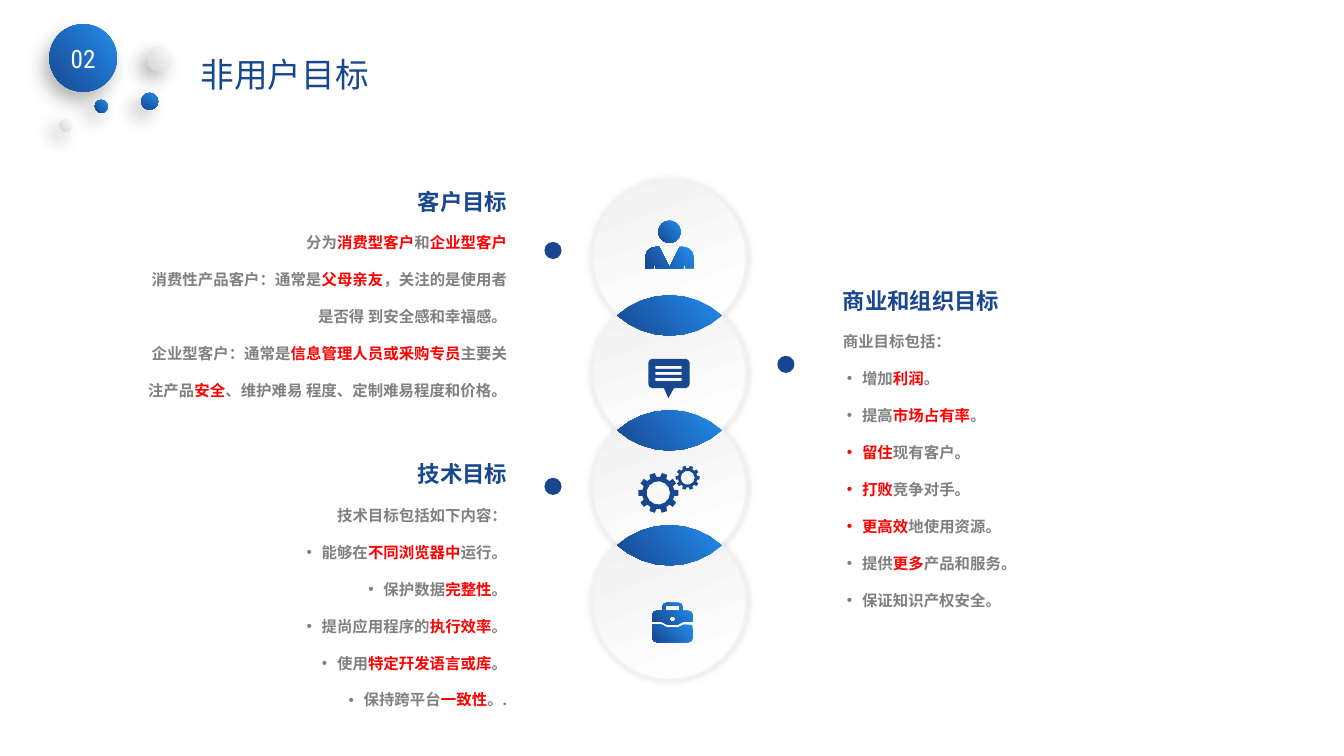
import math

import pptx
import pptx.dml.color
import pptx.enum.shapes
import pptx.enum.text
import pptx.util
from lxml import etree
from pptx.oxml.ns import qn

Inches, Pt = pptx.util.Inches, pptx.util.Pt
ALIGN, ANCHOR = pptx.enum.text.PP_ALIGN, pptx.enum.text.MSO_ANCHOR


class Theme:
    navy, white, grey, red = "18478F", "FFFFFF", "808080", "FF0000"
    pale = "F2F2F2"
    blue_gradient = ("238DED", "18478F", 140)
    dot_gradient = ("238DED", "18478F", 120)
    silver_gradient = ("FFFFFF", "D4D2D3", 140)
    disc_gradient = ("FFFFFF", "F2F2F2", 250)
    badge_shadow = (30, 14, 8, 120)
    ball_shadow = (30, 13, 8, 135)
    disc_shadow = (11, 5, 0, 0)
    font, number_font = "Open Sans", "Roboto Condensed"
    title, number, heading, body = 24, 18, 16, 11


def rgb(value):
    return pptx.dml.color.RGBColor.from_string(value)


def write(paragraph, text, size=Theme.body, color=Theme.grey, font=Theme.font,
          bold=False, align=ALIGN.LEFT, spacing=1.0, bullet=False):
    """Fill a paragraph; parts between bars are set in red."""
    paragraph.alignment, paragraph.line_spacing = align, spacing
    paragraph.space_before = Pt(0)
    properties = paragraph._p.get_or_add_pPr()
    properties.set("marL", str(Inches(0.19 if bullet else 0)))
    properties.set("indent", str(Inches(-0.15 if bullet else 0)))
    if bullet:
        etree.SubElement(properties, qn("a:buChar"), char="•")
    else:
        etree.SubElement(properties, qn("a:buNone"))
    for index, part in enumerate(text.split("|")):
        if part:
            run = paragraph.add_run()
            run.text = part
            run.font.size, run.font.name, run.font.bold = Pt(size), font, bold
            run.font.color.rgb = rgb(Theme.red if index % 2 else color)


def paint(shape, fill, outline=None, shadow=None):
    """Fill is one colour, or (from, to, clockwise angle)."""
    if isinstance(fill, str):
        shape.fill.solid()
        shape.fill.fore_color.rgb = rgb(fill)
    else:
        shape.fill.gradient()
        shape.fill.gradient_angle = 360 - fill[2]
        for stop, color in zip(shape.fill.gradient_stops, fill):
            stop.color.rgb = rgb(color)
    if outline:
        shape.line.color.rgb, shape.line.width = rgb(outline), Pt(2)
    else:
        shape.line.fill.background()
    shape.shadow.inherit = False
    if shadow:
        alpha, blur, distance, angle = shadow
        outer = etree.SubElement(
            shape._element.spPr.find(qn("a:effectLst")), qn("a:outerShdw"),
            blurRad=str(Pt(blur)), dist=str(Pt(distance)), dir=str(angle * 60000),
            algn="ctr", rotWithShape="0")
        color = etree.SubElement(outer, qn("a:srgbClr"), val="000000")
        etree.SubElement(color, qn("a:alpha"), val=str(alpha * 1000))
    return shape


def ball(slide, left, top, size, fill, shadow=None):
    shape = slide.shapes.add_shape(
        pptx.enum.shapes.MSO_SHAPE.OVAL, Inches(left), Inches(top), Inches(size), Inches(size))
    return paint(shape, fill, shadow=shadow)


def outline(slide, center, contours, fill, **effects):
    """Closed contours in inches from the center; inner ones are holes."""
    scaled = [[(x * 1000, y * 1000) for x, y in contour] for contour in contours]
    builder = slide.shapes.build_freeform(*scaled[0][0], scale=914.4)
    builder.add_line_segments(scaled[0][1:])
    for hole in scaled[1:]:
        builder.move_to(*hole[0])
        builder.add_line_segments(hole[1:])
    return paint(builder.convert_to_shape(*map(Inches, center)), fill, **effects)


def polar(x, y, radius, angle):
    turn = math.radians(angle)
    return x + radius * math.cos(turn), y + radius * math.sin(turn)


def arc(x, y, radius, start, end):
    """Points along an arc, wider apart on a smaller radius."""
    steps = math.ceil(abs(end - start) * math.sqrt(radius) / 10)
    return [polar(x, y, radius, start + (end - start) * i / steps) for i in range(steps + 1)]


def rectangle(left, top, width, height, radius=0):
    right, bottom = left + width - radius, top + height - radius
    corners = [(left + radius, top + radius), (right, top + radius),
               (right, bottom), (left + radius, bottom)]
    if not radius:
        return corners
    return [point for i, (x, y) in enumerate(corners)
            for point in arc(x, y, radius, 180 + 90 * i, 270 + 90 * i)]


def mirrored(half):
    """Add the left half to a right half listed from the middle outwards."""
    return half + [(-x, y) for x, y in reversed(half)]


# Header: numbered badge, loose balls and title
def header(slide, left, top):
    badge = ball(slide, left, top, 0.67, Theme.blue_gradient, Theme.badge_shadow)
    frame = badge.text_frame
    frame.word_wrap, frame.vertical_anchor = False, ANCHOR.MIDDLE
    write(frame.paragraphs[0], "02", size=Theme.number, color=Theme.white,
          font=Theme.number_font, align=ALIGN.CENTER)
    for x, y, size, fill in [(0.97, 0.22, 0.25, Theme.silver_gradient),
                             (0.1, 0.94, 0.13, Theme.silver_gradient),
                             (0.45, 0.75, 0.13, Theme.blue_gradient),
                             (0.91, 0.68, 0.17, Theme.dot_gradient)]:
        ball(slide, left + x, top + y, size, fill, Theme.ball_shadow)
    title = place(slide.shapes.title, left + 1.4, top + 0.24, 2.65, 0.5)
    write(title.paragraphs[0], "非用户目标", size=Theme.title, color=Theme.navy)


# Chain of four discs joined by lenses
def chain(slide, x, top, radius, pitch, icons):
    half = math.degrees(math.acos(pitch / 2 / radius))
    for index, icon in enumerate(icons):
        center = (x, top + radius + pitch * index)
        upper = half if index else 0
        lower = half if index < len(icons) - 1 else 0
        disc = arc(0, 0, radius, upper - 90, 90 - lower)
        if lower:
            disc += arc(0, pitch, radius, half - 90, -half - 90)
        disc += arc(0, 0, radius, 90 + lower, 270 - upper)
        if upper:
            disc += arc(0, -pitch, radius, 90 + half, 90 - half)
        outline(slide, center, [disc], Theme.disc_gradient,
                outline=Theme.pale, shadow=Theme.disc_shadow)
        if upper:
            lens = (arc(0, 0, radius, -90 - half, -90 + half)
                    + arc(0, -pitch, radius, 90 - half, 90 + half))
            outline(slide, center, [lens], Theme.blue_gradient)
        icon(slide, *center)


def person(slide, x, y):
    ball(slide, x - 0.11, y - 0.37, 0.22, Theme.blue_gradient)
    half = [(0, 0.09), (0.1, -0.11), *arc(0.14, -0.01, 0.1, 270, 360), (0.24, 0.1),
            (0.16, 0.1), (0.16, 0.07), (0.14, 0.07), (0.14, 0.1)]
    outline(slide, (x, y), [mirrored(half)], Theme.blue_gradient)


def speech(slide, x, y):
    outline(slide, (x, y), [[(-0.06, 0.14), (0.05, 0.14), (-0.01, 0.25)]], Theme.navy)
    lines = [rectangle(-0.14, -0.07 + 0.06 * i, 0.26, 0.03) for i in range(3)]
    outline(slide, (x, y), [rectangle(-0.21, -0.14, 0.41, 0.29, 0.04), *lines], Theme.navy)


def gears(slide, x, y):
    profile = [(-11, 0.8), (-8, 1), (8, 1), (11, 0.8)]
    for dx, dy, radius in [(-0.11, 0.05, 0.2), (0.18, -0.1, 0.12)]:
        teeth = [polar(0, 0, radius * reach, 36 * i + angle)
                 for i in range(10) for angle, reach in profile]
        hole = arc(0, 0, radius * 0.58, 0, 360)
        outline(slide, (x + dx, y + dy), [teeth, hole], Theme.navy)


def briefcase(slide, x, y):
    center = (x + 0.03, y)
    base = [(0.05, 0.25), (0.11, 0.22), (0.2, 0.22), *arc(0.16, 0.35, 0.04, 0, 90)]
    lid = [*arc(0.06, 0.04, 0.04, 270, 360), (0.1, 0.08),
           *arc(0.16, 0.12, 0.04, 270, 360), (0.2, 0.19), (0.1, 0.19), (0.04, 0.22)]
    outline(slide, center, [mirrored(base)], Theme.blue_gradient)
    outline(slide, center, [mirrored(lid), rectangle(-0.07, 0.03, 0.14, 0.05),
                            arc(0, 0.16, 0.03, 0, 360)], Theme.blue_gradient)


# Text blocks
def place(holder, left, top, width, height):
    holder.left, holder.top = Inches(left), Inches(top)
    holder.width, holder.height = Inches(width), Inches(height)
    frame = holder.text_frame
    frame.word_wrap, frame.vertical_anchor = True, ANCHOR.TOP
    frame.auto_size = pptx.enum.text.MSO_AUTO_SIZE.SHAPE_TO_FIT_TEXT
    return frame


def goals(holder, box, align, heading, intro, bullets):
    frame = place(holder, *box)
    write(frame.paragraphs[0], heading, size=Theme.heading, color=Theme.navy,
          bold=True, align=align, spacing=2.0)
    for index, line in enumerate(intro + bullets):
        write(frame.add_paragraph(), line, bold=True, align=align, spacing=2.0,
              bullet=index >= len(intro))


def main():
    deck = pptx.Presentation()
    deck.slide_width, deck.slide_height = Inches(13.33), Inches(7.5)
    slide = deck.slides.add_slide(deck.slide_layouts[4])
    business, customer, technical, spare = list(slide.placeholders)[1:]
    spare.element.getparent().remove(spare.element)

    header(slide, 0.49, 0.24)
    chain(slide, 6.64, 1.79, 0.77, 1.14, [person, speech, gears, briefcase])
    goals(business, (8.26, 2.53, 3.66, 3.6), ALIGN.LEFT, "商业和组织目标", ["商业目标包括："],
          ["增加|利润|。", "提高|市场占有率|。", "|留住|现有客户。", "|打败|竞争对手。",
           "|更高效|地使用资源。", "提供|更多|产品和服务。", "保证知识产权安全。"])
    goals(customer, (1.35, 1.55, 3.78, 2.49), ALIGN.RIGHT, "客户目标",
          ["分为|消费型客户|和|企业型客户|",
           "消费性产品客户：通常是|父母亲友|，关注的是使用者是否得 到安全感和幸福感。",
           "企业型客户：通常是|信息管理人员或釆购专员|主要关注产品|安全|、维护难易 程度、定制难易程度和价格。"], [])
    goals(technical, (1.35, 4.25, 3.78, 2.86), ALIGN.RIGHT, "技术目标", ["技术目标包括如下内容："],
          ["能够在|不同浏览器中|运行。", "保护数据|完整性|。", "提尚应用程序的|执行效率|。",
           "使用|特定幵发语言或库|。", "保持跨平台|一致性|。."])
    for left, top in [(5.4, 2.4), (7.71, 3.53), (5.4, 4.74)]:
        ball(slide, left, top, 0.17, Theme.navy)
    deck.save("out.pptx")


if __name__ == "__main__":
    main()
